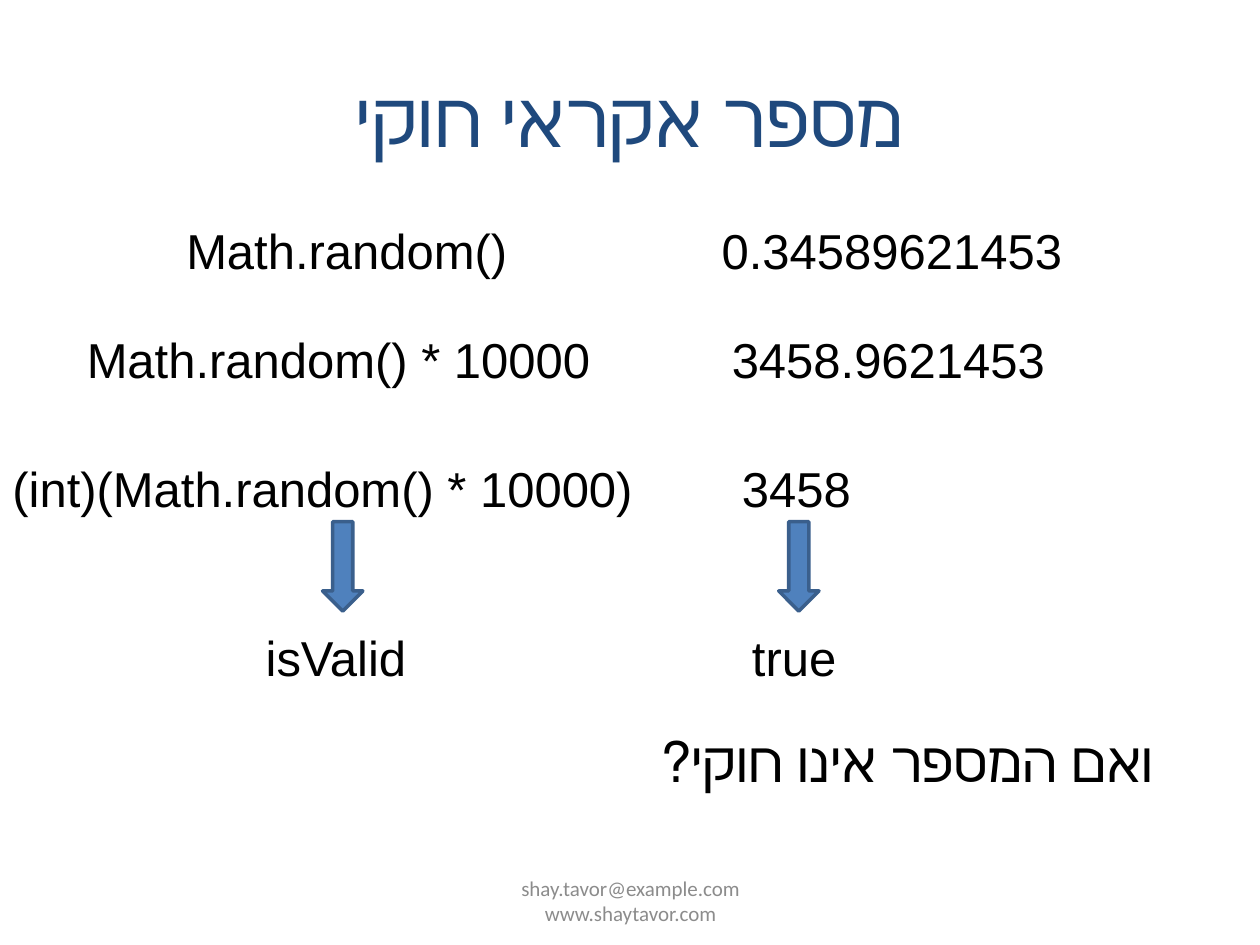
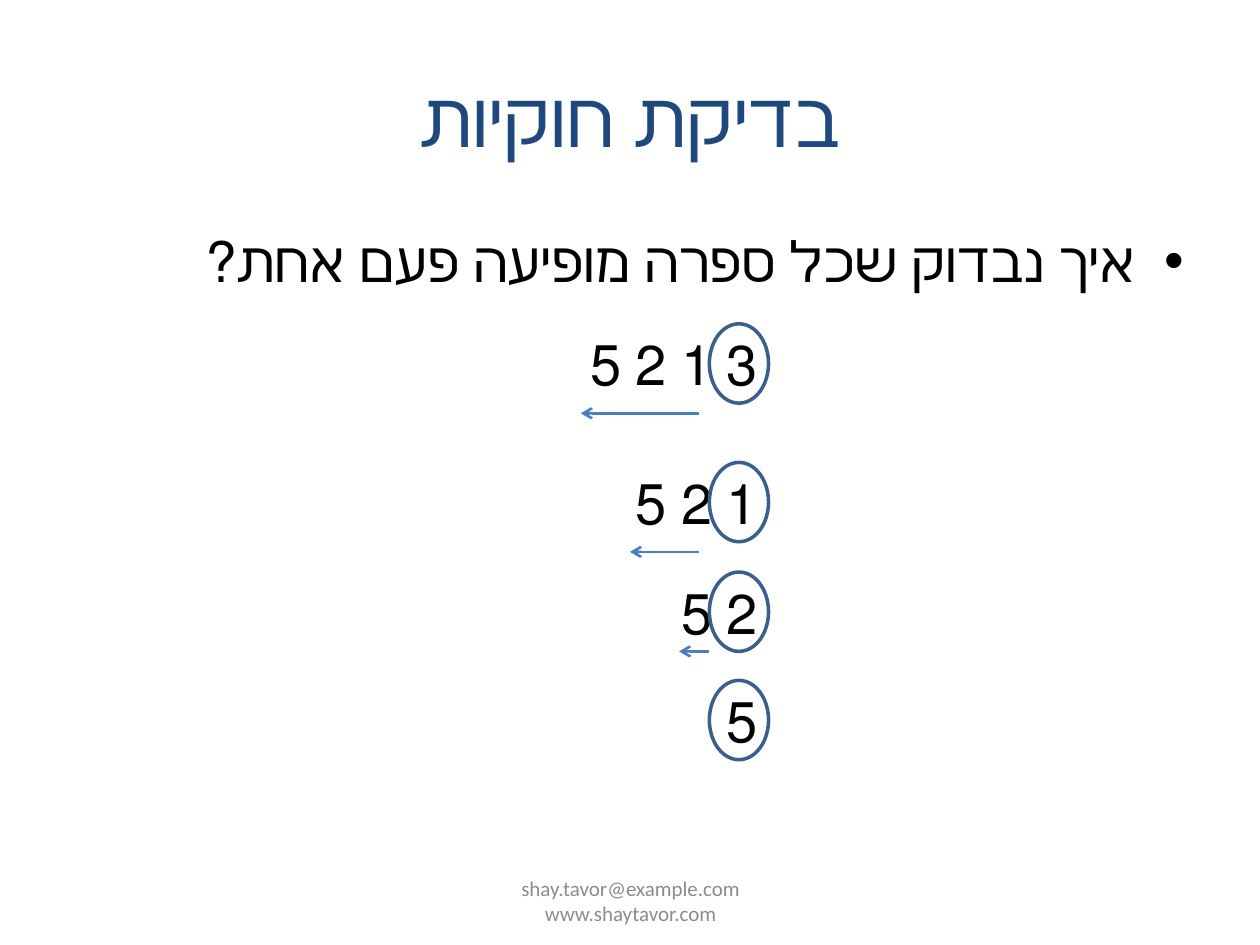
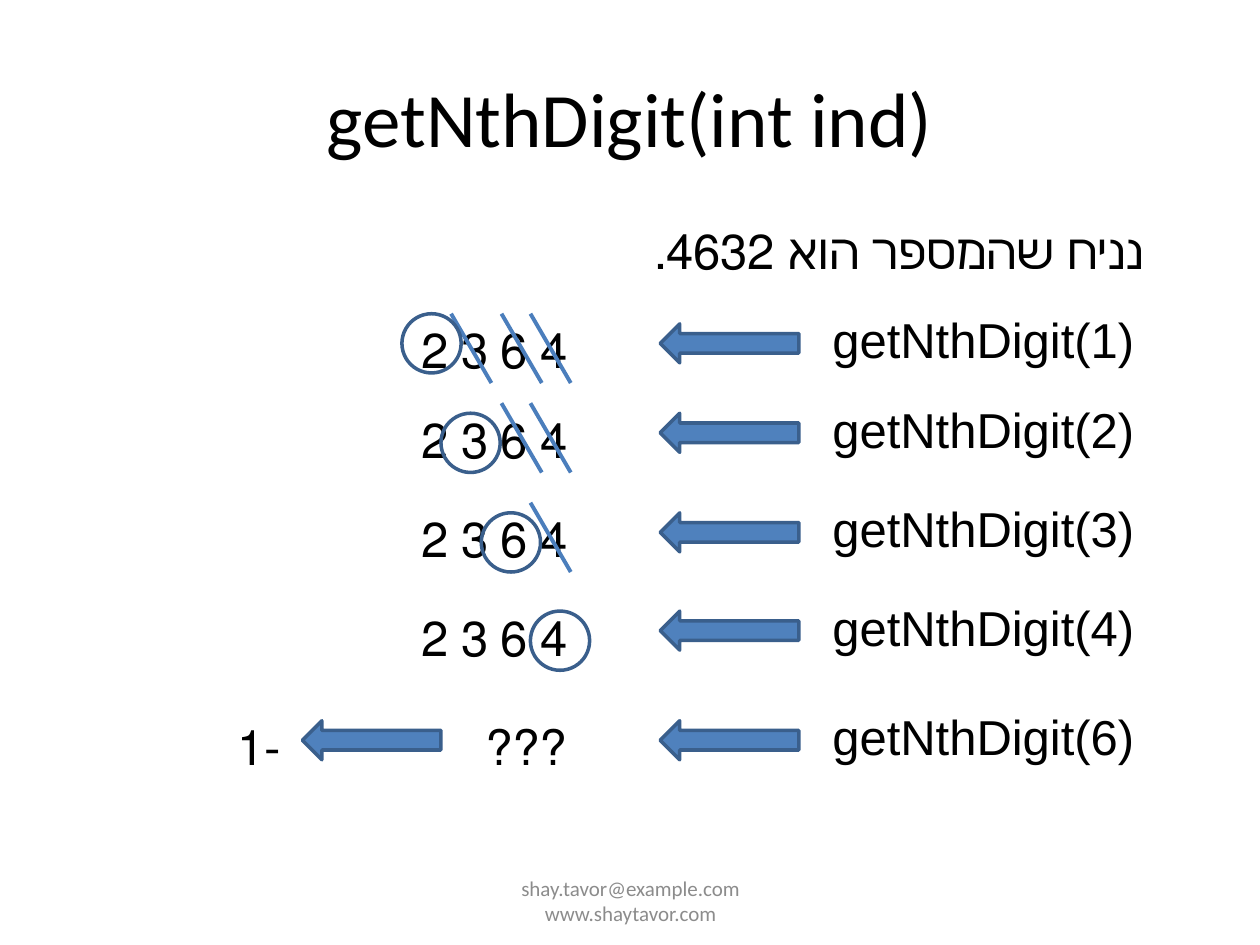
from pptx import Presentation
from pptx.dml.color import RGBColor
from pptx.enum.shapes import MSO_CONNECTOR as Link, MSO_SHAPE as Shape
from pptx.enum.text import MSO_ANCHOR as Anchor, MSO_AUTO_SIZE as AutoSize, PP_ALIGN as Align
from pptx.oxml.ns import qn
from pptx.util import Inches, Pt
from lxml import etree

COLUMNS, ROWS = 100, 75
BLACK, NAVY, GREY = "000000", "1F497D", "8C8C8C"
FILL, EDGE, STROKE = "4F81BD", "3A5F8C", "4B7EBC"
HEADING_FONT, TEXT_FONT = "Calibri", "Arial"


def color(value):
    return RGBColor.from_string(value)


class Lesson:
    """Holds the style, the grid and the current slide of the lesson."""

    def __init__(self):
        self.deck = Presentation()
        self.deck.slide_width, self.deck.slide_height = Inches(10), Inches(7.5)
        self.column = self.deck.slide_width / COLUMNS
        self.row = self.deck.slide_height / ROWS
        self.page = None

    def place(self, x, y):
        return round(x * self.column), round(y * self.row)

    def new_page(self, title, title_color=NAVY):
        self.page = self.deck.slides.add_slide(self.deck.slide_layouts[6])
        self.text([title], 5, 3, 90, 12.5, 44, Align.CENTER, True, HEADING_FONT,
                  title_color, Anchor.MIDDLE, AutoSize.NONE)
        self.text(["shay.tavor@example.com", "www.shaytavor.com"], 34.2, 69.5, 31.7, 4, 12,
                  Align.CENTER, True, HEADING_FONT, GREY, Anchor.MIDDLE, AutoSize.NONE)

    def text(self, lines, x, y, width, height, size=28, align=Align.LEFT, rtl=False,
             font=TEXT_FONT, ink=BLACK, anchor=Anchor.TOP, fit=AutoSize.SHAPE_TO_FIT_TEXT):
        box = self.page.shapes.add_textbox(*self.place(x, y), *self.place(width, height))
        frame = box.text_frame
        frame.word_wrap, frame.auto_size, frame.vertical_anchor = True, fit, anchor
        para = frame.paragraphs[0]
        para.alignment = align
        if rtl:
            para._p.get_or_add_pPr().set("rtl", "1")
        for index, line in enumerate(lines):
            if index:
                para.add_line_break()
            span = para.add_run()
            span.text = line
            span.font.size, span.font.name = Pt(size), font
            span.font.color.rgb = color(ink)
        return para

    def hebrew(self, line, x, y, width, height=5.7, size=28):
        self.text([line], x, y, width, height, size, Align.RIGHT, True)

    def bullet(self, line, x, y, width, height):
        para = self.text([line], x, y, width, height, 32, Align.RIGHT, True,
                         HEADING_FONT, fit=AutoSize.NONE)
        para.space_before = Pt(6.4)
        props = para._p.get_or_add_pPr()
        indent = Inches(0.38)
        props.set("marL", str(indent))
        props.set("indent", str(-indent))
        etree.SubElement(props, qn("a:buFont")).set("typeface", TEXT_FONT)
        etree.SubElement(props, qn("a:buChar")).set("char", "•")

    def shape(self, kind, x, y, width, height, fill=None):
        shape = self.page.shapes.add_shape(kind, *self.place(x, y), *self.place(width, height))
        shape.shadow.inherit = False
        if fill:
            shape.fill.solid()
            shape.fill.fore_color.rgb = color(fill)
        else:
            shape.fill.background()
        shape.line.color.rgb, shape.line.width = color(EDGE), Pt(2)

    def ring(self, x, y, width, height):
        self.shape(Shape.OVAL, x, y, width, height)

    def down_arrow(self, x, y):
        self.shape(Shape.DOWN_ARROW, x, y, 3.2, 7.1, FILL)

    def left_arrow(self, x, y):
        self.shape(Shape.LEFT_ARROW, x, y, 11, 3.1, FILL)

    def line(self, start, end, weight, arrow=False):
        line = self.page.shapes.add_connector(Link.STRAIGHT, *self.place(*start), *self.place(*end))
        line.line.color.rgb, line.line.width = color(STROKE), Pt(weight)
        if arrow:
            etree.SubElement(line.line._get_or_add_ln(), qn("a:tailEnd")).set("type", "arrow")
        etree.SubElement(line._element.spPr, qn("a:effectLst"))


def random_number(lesson):
    lesson.new_page("מספר אקראי חוקי")
    steps = [
        (17, "Math.random()", 13.8, 33.9, "0.34589621453", 56.3, 30.7),
        (25.7, "Math.random() * 10000", 5.9, 44.9, "3458.9621453", 57.1, 30.7),
        (35.9, "(int)(Math.random() * 10000)", 0, 52.8, "3458", 57.9, 14.9),
        (49.3, "isValid", 20.1, 15.8, "true", 58.7, 11),
    ]
    for y, call, call_x, call_width, value, value_x, value_width in steps:
        lesson.text([call], call_x, y, call_width, 5.7)
        lesson.text([value], value_x, y, value_width, 5.7)
    for x in (25.6, 61.8):
        lesson.down_arrow(x, 41.4)
    lesson.hebrew("ואם המספר אינו חוקי?", 46.9, 57.2, 45.7, 6.4, 32)


def validity_check(lesson):
    lesson.new_page("בדיקת חוקיות")
    lesson.bullet("איך נבדוק שכל ספרה מופיעה פעם אחת?", 5, 17.5, 90, 9.8)
    digits = "3125"
    tops = (25.7, 36.7, 45.4, 54)
    arrows = ((55.5, 46.1, 7.1), (55.5, 50, 7.1), (56.3, 53.9, 6.3), None)
    for index, (y, arrow) in enumerate(zip(tops, arrows)):
        lesson.hebrew(" ".join(digits[index:]), 39.8, y, 21.3, 6.4, 32)
        lesson.ring(56.3, y, 4.7, 6.3)
        if arrow:
            start, end, drop = arrow
            lesson.line((start, y + drop), (end, y + drop), 1.5, True)


def nth_digit(lesson):
    lesson.new_page("getNthDigit(int ind)", BLACK)
    lesson.hebrew("נניח שהמספר הוא 4632.", 50.8, 17, 41)
    step = 0.8
    strikes = (42.1, 39.8, 35.8)
    rings = ((31.9, step), (35, 2 * step), (38.2, 2 * step), (42.1, 2 * step))
    tops = {1: 24.1, 2: 31.2, 3: 39.1, 4: 46.9, 6: 55.6}
    for number, y in tops.items():
        lesson.hebrew(f"getNthDigit({number})", 63.4, y, 27.6)
        lesson.left_arrow(52.4, y + 2 * step)
        if number > len(rings):
            lesson.hebrew("???", 36.6, y + step, 9.4)
            lesson.left_arrow(24, y + 2 * step)
            lesson.hebrew("-1", 13.8, y + step, 9.5)
            continue
        lesson.hebrew("4 6 3 2", 30.3, y + step, 15.7)
        for x in strikes[:4 - number]:
            lesson.line((x, y + step), (x + 3.2, y + step + 5.5), 2.25)
        x, drop = rings[number - 1]
        lesson.ring(x, y + drop, 4.7, 4.7)


lesson = Lesson()
for build in (random_number, validity_check, nth_digit):
    build(lesson)
lesson.deck.save("out.pptx")
